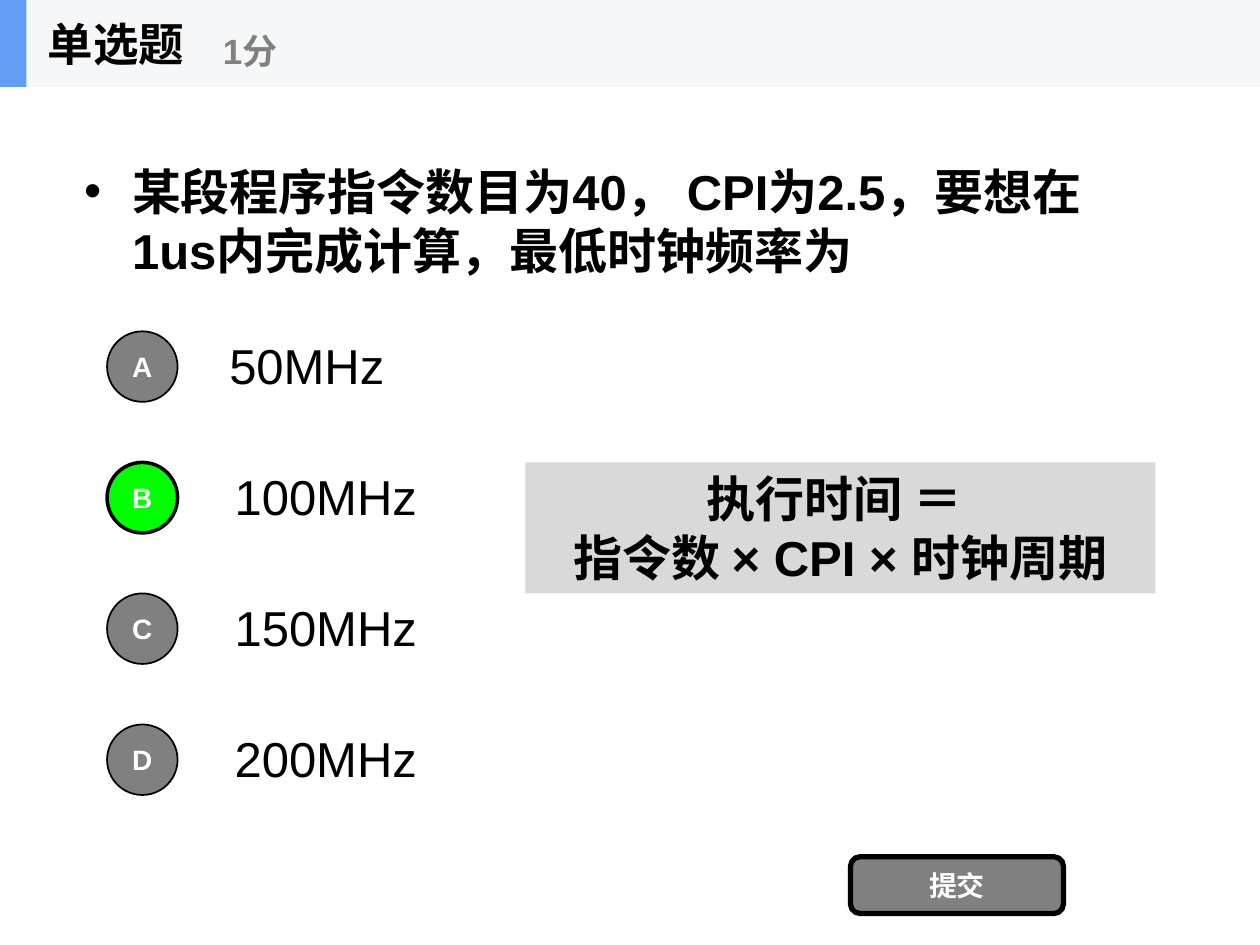
from dataclasses import dataclass
from typing import Optional

from lxml.etree import SubElement
from pptx import Presentation
from pptx.dml.color import RGBColor
from pptx.enum.shapes import MSO_SHAPE as Preset
from pptx.enum.text import MSO_ANCHOR as Anchor, MSO_AUTO_SIZE as AutoSize, PP_ALIGN as Align
from pptx.oxml.ns import qn
from pptx.util import Inches, Pt

BLACK = RGBColor(0x00, 0x00, 0x00)
WHITE = RGBColor(0xFF, 0xFF, 0xFF)
GRAY = RGBColor(0x80, 0x80, 0x80)
GREEN = RGBColor(0x00, 0xFF, 0x00)
FORMULA_FILL = RGBColor(0xD9, 0xD9, 0xD9)
HEADER_FILL = RGBColor(0xF6, 0xF7, 0xF8)
ACCENT = RGBColor(0x63, 0x9E, 0xF4)

FONT = "Arial"
BADGE_SIZE = 0.56
OPTION_PITCH = 1.04
HEADER_HEIGHT = 0.69


@dataclass(frozen=True)
class Box:
    left: float
    top: float
    width: float
    height: float

    def lengths(self) -> tuple:
        return tuple(Inches(n) for n in (self.left, self.top, self.width, self.height))


@dataclass(frozen=True)
class Style:
    size: int
    color: RGBColor = BLACK
    bold: bool = True


@dataclass(frozen=True)
class Option:
    letter: str
    answer: str
    left: float = 1.7
    width: float = 1.77
    correct: bool = False


OPTIONS = (
    Option("A", "50MHz", left=1.67, width=1.53),
    Option("B", "100MHz", correct=True),
    Option("C", "150MHz"),
    Option("D", "200MHz"),
)
BODY = Style(28)
ANSWER = Style(28, bold=False)
BUTTON = Style(16, WHITE)


def write(shape, text: str, style: Style, align=Align.LEFT, anchor=Anchor.TOP, wrap=True):
    """Fill the first paragraph, one run per line, and return it."""
    frame = shape.text_frame
    frame.word_wrap = wrap
    frame.vertical_anchor = anchor
    paragraph = frame.paragraphs[0]
    paragraph.alignment = align
    for index, line in enumerate(text.split("\n")):
        if index:
            paragraph.add_line_break()
        run = paragraph.add_run()
        run.text = line
        run.font.name = FONT
        run.font.size = Pt(style.size)
        run.font.bold = style.bold
        run.font.color.rgb = style.color
    return paragraph


def add_panel(slide, preset: Preset, box: Box, fill: RGBColor, line_width: Optional[float] = None):
    """Add a flat shape, outlined in black if a line width is given."""
    panel = slide.add_shape(preset, *box.lengths())
    panel.shadow.inherit = False
    panel.fill.solid()
    panel.fill.fore_color.rgb = fill
    if line_width is None:
        panel.line.fill.background()
    else:
        panel.line.color.rgb = BLACK
        panel.line.width = Pt(line_width)
    return panel


def add_bullet(paragraph, indent: float) -> None:
    properties = paragraph._p.get_or_add_pPr()
    properties.set("marL", str(Inches(indent)))
    properties.set("indent", str(-Inches(indent)))
    SubElement(properties, qn("a:buFont"), typeface=FONT)
    SubElement(properties, qn("a:buChar"), char="•")


def add_option(shapes, option: Option, row: int) -> None:
    offset = row * OPTION_PITCH
    badge = add_panel(
        shapes, Preset.OVAL, Box(0.85, 2.63 + offset, BADGE_SIZE, BADGE_SIZE),
        GREEN if option.correct else GRAY, 2 if option.correct else 1,
    )
    write(badge, option.letter, BUTTON, Align.CENTER, Anchor.MIDDLE)
    answer = shapes.add_textbox(*Box(option.left, 2.61 + offset, option.width, 0.57).lengths())
    write(answer, option.answer, ANSWER, Align.CENTER, wrap=False)
    answer.text_frame.auto_size = AutoSize.SHAPE_TO_FIT_TEXT


def add_header(shapes) -> None:
    header = shapes.add_group_shape().shapes
    add_panel(header, Preset.RECTANGLE, Box(0, 0, 10, HEADER_HEIGHT), HEADER_FILL)
    add_panel(header, Preset.RECTANGLE, Box(0, 0, 0.21, HEADER_HEIGHT), ACCENT)
    for label, box, style in (
        ("单选题", Box(0.28, 0, 2.08, HEADER_HEIGHT), Style(26)),
        ("1分", Box(1.67, 0.12, 2.5, 0.56), Style(20, GRAY)),
    ):
        write(header.add_textbox(*box.lengths()), label, style, anchor=Anchor.MIDDLE, wrap=False)


def main() -> None:
    deck = Presentation()
    deck.slide_width, deck.slide_height = Inches(10), Inches(7.5)
    shapes = deck.slides.add_slide(deck.slide_layouts[6]).shapes

    question = shapes.add_textbox(*Box(0.57, 1.23, 8.43, 4.95).lengths())
    add_bullet(
        write(question, "某段程序指令数目为40， CPI为2.5，要想在1us内完成计算，最低时钟频率为", BODY),
        0.38,
    )

    for row, option in enumerate(OPTIONS):
        add_option(shapes, option, row)

    submit = add_panel(shapes, Preset.ROUNDED_RECTANGLE, Box(6.75, 6.8, 1.69, 0.45), GRAY, 3)
    write(submit, "提交", BUTTON, Align.CENTER, Anchor.MIDDLE)

    formula = add_panel(shapes, Preset.RECTANGLE, Box(4.17, 3.67, 5, 1.04), FORMULA_FILL)
    write(formula, "执行时间 ＝ \n指令数 × CPI × 时钟周期", BODY, Align.CENTER)
    formula.text_frame.auto_size = AutoSize.SHAPE_TO_FIT_TEXT

    add_header(shapes)
    deck.save("out.pptx")


if __name__ == "__main__":
    main()
